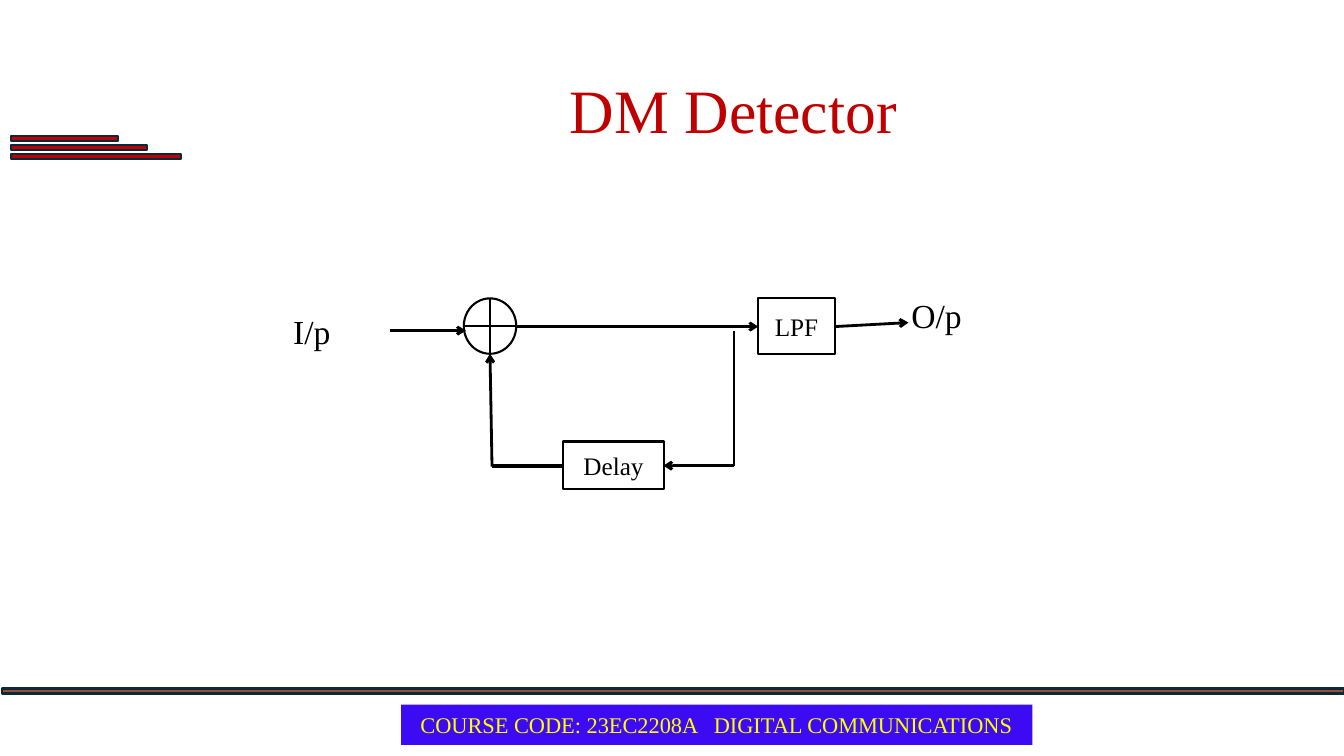
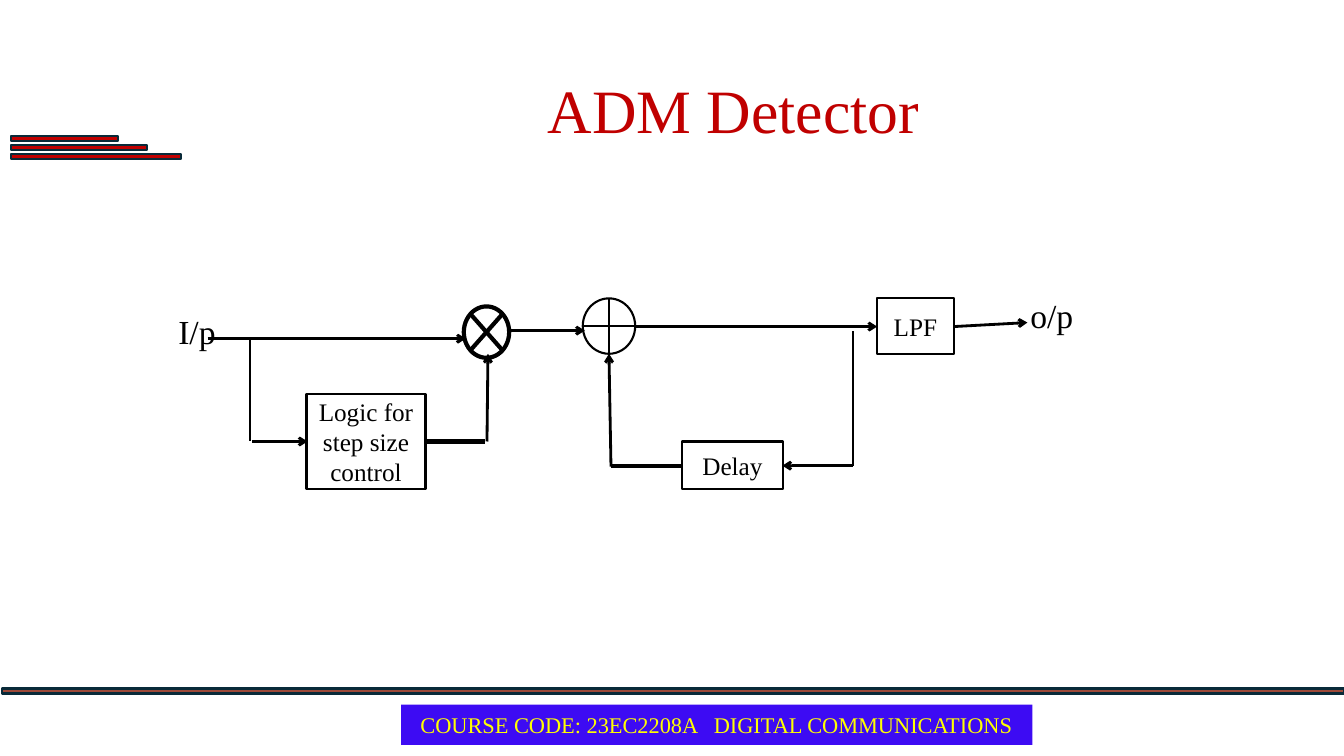
from lxml import etree
from pptx import Presentation
from pptx.dml.color import RGBColor
from pptx.enum import shapes, text
from pptx.oxml import ns
from pptx.util import Inches, Pt

FONT = "Times New Roman"
COLORS = {"red": "C00000", "brown": "9E4938", "edge": "092A39",
          "blue": "3D0BF3", "yellow": "FFFF00", "black": "000000"}
KIND = shapes.MSO_SHAPE
ALIGN = text.PP_ALIGN

# Shared decoration: left, top, width, fill
BARS = [(0.02, 6.83, 13.31, "brown"), (0.11, 1.35, 1.06, "red"),
        (0.11, 1.44, 1.35, "red"), (0.11, 1.53, 1.69, "red")]
BAR_HEIGHT = 0.05
FOOTER = "COURSE CODE: 23EC2208A\tDIGITAL COMMUNICATIONS"
FOOTER_INSET, FOOTER_TAB = 0.19, 2.91

# Accumulator loop found in both detectors
# Nodes: kind, place, caption, line width
LOOP_NODES = [(KIND.RECTANGLE, (7.52, 2.96, 0.76, 0.55), "LPF", 1.5),
              (KIND.RECTANGLE, (5.58, 4.38, 1.01, 0.47), "Delay", 1.5),
              (KIND.FLOWCHART_OR, (4.6, 2.96, 0.52, 0.55), "", 1.5)]
# Wires: start, end, line width, arrowhead
LOOP_WIRES = [((3.87, 3.28), (4.62, 3.28), 2, True),
              ((8.28, 3.24), (9.01, 3.2), 2, True),
              ((5.12, 3.24), (7.52, 3.24), 2, True),
              ((4.88, 4.63), (4.86, 3.51), 2, True),
              ((7.28, 4.62), (6.58, 4.62), 2, True),
              ((7.28, 4.62), (7.28, 3.28), 2, False),
              ((4.88, 4.62), (5.58, 4.62), 3, False)]
OUTPUT_LEFT, OUTPUT_TOP = 8.94, 2.88

# Step size control, only in the adaptive detector
STEP_NODES = [
    (KIND.RECTANGLE, (3.04, 3.91, 1.18, 0.94), "Logic for step size control", 1.5),
    (KIND.FLOWCHART_SUMMING_JUNCTION, (4.6, 3.04, 0.45, 0.51), "", 3)]
STEP_WIRES = [((2.06, 3.36), (4.62, 3.36), 2, True),
              ((4.83, 4.38), (4.84, 3.51), 2, True),
              ((4.23, 4.38), (4.81, 4.38), 3, False),
              ((2.5, 4.38), (3.05, 4.38), 2, True),
              ((2.48, 3.36), (2.48, 4.38), 2, False)]

SLIDES = [
    {"title": "DM Detector", "shift": 0, "input": ("I/p", 2.81),
     "output": "O/p", "nodes": [], "wires": []},
    {"title": "ADM Detector", "shift": 1.18, "input": ("I/p", 1.67),
     "output": "o/p", "nodes": STEP_NODES, "wires": STEP_WIRES},
]
INPUT_TOP = 3.04
LABEL_SIZE = (1.11, 0.5)


def rgb(name):
    return RGBColor.from_string(COLORS[name])


def write(shape, words, size, color, align, anchor=text.MSO_ANCHOR.MIDDLE):
    frame = shape.text_frame
    frame.word_wrap = True
    frame.vertical_anchor = anchor
    frame.text = words
    para = frame.paragraphs[0]
    para.alignment = align
    para.font.name = FONT
    para.font.size = Pt(size)
    para.font.color.rgb = rgb(color)
    return para


def add_shape(page, kind, place, fill=None, line=None, width=1.5):
    shape = page.shapes.add_shape(kind, *map(Inches, place))
    shape.shadow.inherit = False
    if fill:
        shape.fill.solid()
        shape.fill.fore_color.rgb = rgb(fill)
    else:
        shape.fill.background()
    if line:
        shape.line.color.rgb = rgb(line)
        shape.line.width = Pt(width)
    else:
        shape.line.fill.background()
    return shape


def add_node(page, kind, place, caption, width, shift=0):
    left, *rest = place
    node = add_shape(page, kind, (left + shift, *rest), line="black", width=width)
    if caption:
        write(node, caption, 18, "black", ALIGN.CENTER)


def add_wire(page, start, end, width, arrow, shift=0):
    (x1, y1), (x2, y2) = start, end
    wire = page.shapes.add_connector(
        shapes.MSO_CONNECTOR.STRAIGHT,
        *map(Inches, (x1 + shift, y1, x2 + shift, y2)))
    wire.line.color.rgb = rgb("black")
    wire.line.width = Pt(width)
    if arrow:
        etree.SubElement(wire.line._get_or_add_ln(), ns.qn("a:tailEnd"), type="arrow")
    etree.SubElement(wire._element.spPr, ns.qn("a:effectLst"))


def add_label(page, words, left, top):
    box = page.shapes.add_textbox(*map(Inches, (left, top, *LABEL_SIZE)))
    write(box, words, 24, "black", ALIGN.LEFT, text.MSO_ANCHOR.TOP)


def add_frame(page, title):
    # Bars and title
    for left, top, width, fill in BARS:
        add_shape(page, KIND.RECTANGLE, (left, top, width, BAR_HEIGHT), fill, "edge")
    head = page.shapes.title
    head.left, head.top, head.width, head.height = map(Inches, (1.94, 0.4, 10.67, 1.45))
    write(head, title, 44, "red", ALIGN.CENTER).line_spacing = 0.9

    # Footer, its two parts set apart by a tab stop
    footer = add_shape(page, KIND.RECTANGLE, (3.98, 6.99, 6.26, 0.4), "blue")
    footer.text_frame.margin_left = Inches(FOOTER_INSET)
    footer.text_frame.margin_right = 0
    para = write(footer, FOOTER, 16, "yellow", ALIGN.LEFT)
    props = para._p.get_or_add_pPr()
    stops = etree.Element(ns.qn("a:tabLst"))
    etree.SubElement(stops, ns.qn("a:tab"), pos=str(Inches(FOOTER_TAB)), algn="l")
    props.insert(0, stops)


def add_detector(page, detector):
    shift = detector["shift"]
    for nodes, offset in ((LOOP_NODES, shift), (detector["nodes"], 0)):
        for node in nodes:
            add_node(page, *node, shift=offset)
    for wires, offset in ((LOOP_WIRES, shift), (detector["wires"], 0)):
        for wire in wires:
            add_wire(page, *wire, shift=offset)
    add_label(page, *detector["input"], INPUT_TOP)
    add_label(page, detector["output"], OUTPUT_LEFT + shift, OUTPUT_TOP)


def main():
    deck = Presentation()
    deck.slide_width, deck.slide_height = Inches(13.33), Inches(7.5)
    title_only = deck.slide_layouts[5]
    for detector in SLIDES:
        page = deck.slides.add_slide(title_only)
        add_frame(page, detector["title"])
        add_detector(page, detector)
    deck.save("out.pptx")


if __name__ == "__main__":
    main()
